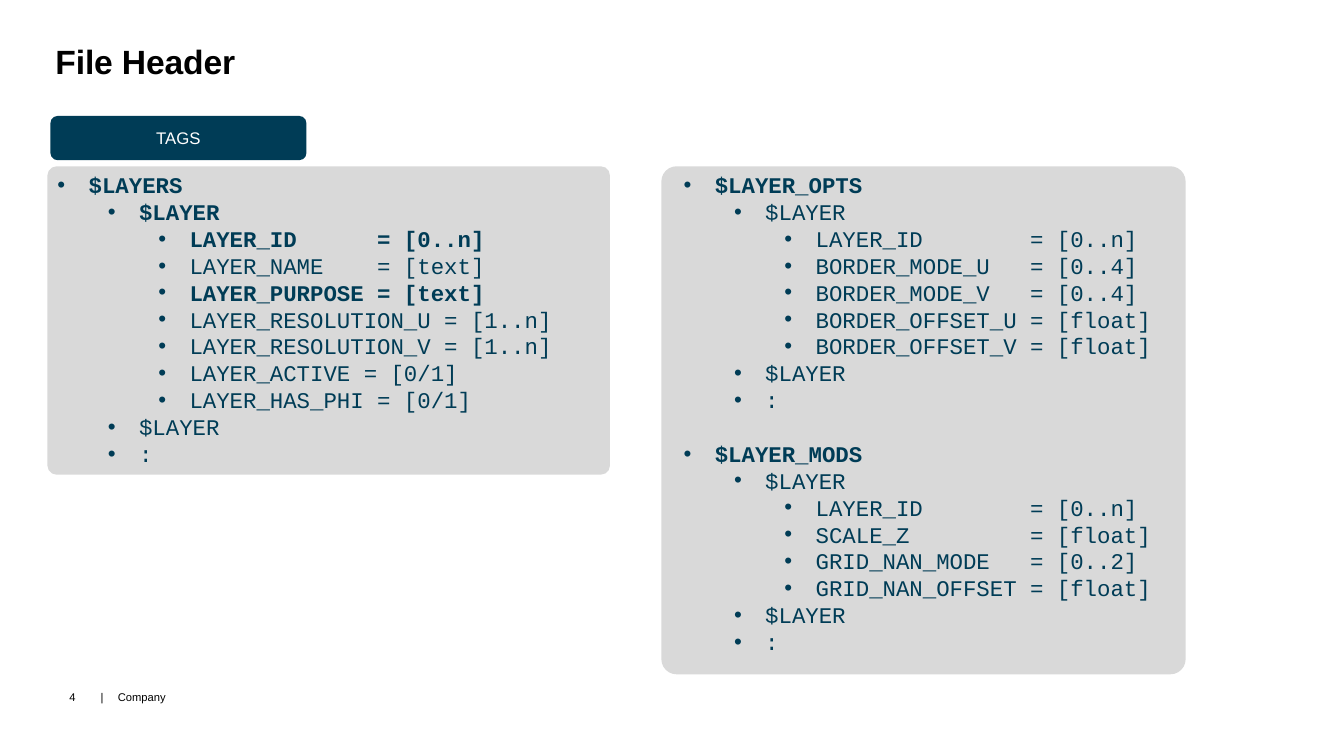
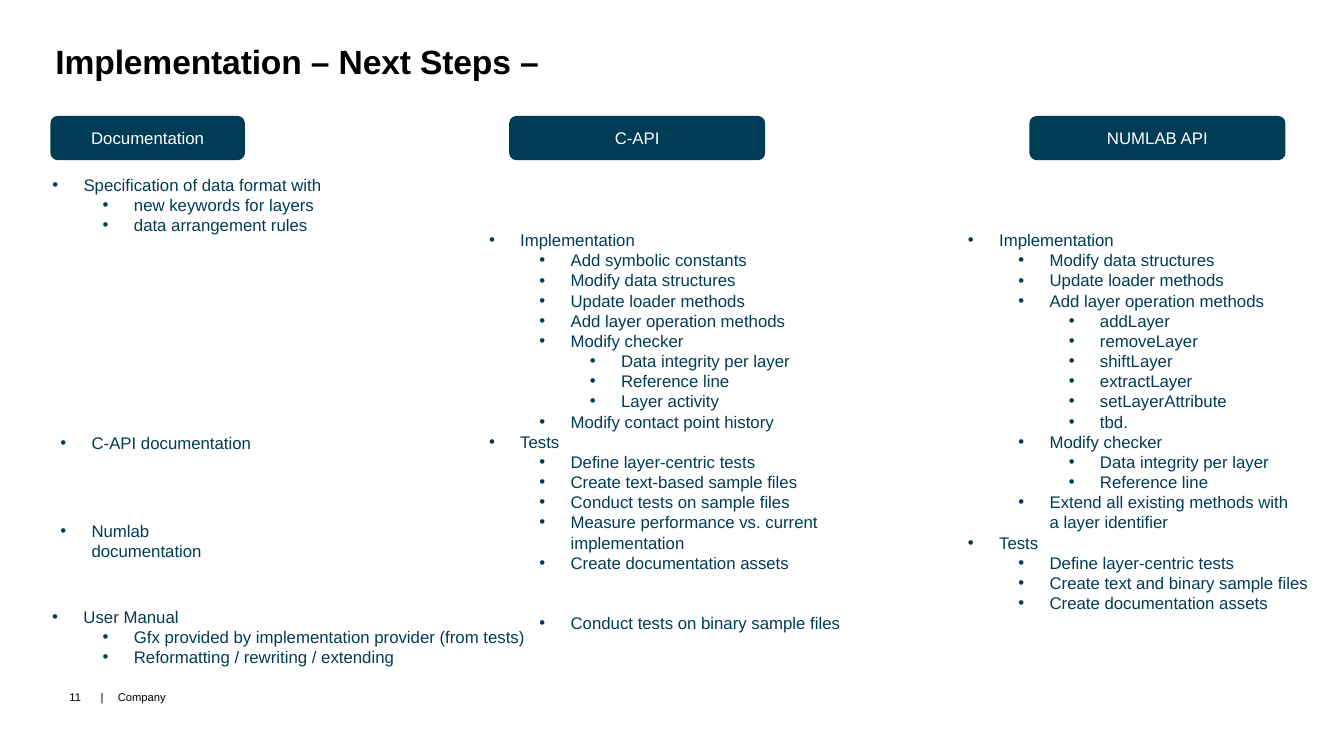
"""Build two slides about a layered file format: its header tags and the next steps."""
from typing import NamedTuple

from lxml import etree
from pptx import Presentation
from pptx.dml.color import RGBColor
from pptx.enum.shapes import MSO_SHAPE
from pptx.enum.text import MSO_ANCHOR, MSO_AUTO_SIZE, PP_ALIGN
from pptx.oxml.ns import qn
from pptx.util import Emu, Pt

EMU_PER_PX = 9144
TWO_CONTENT = 3
ROUNDED = MSO_SHAPE.ROUNDED_RECTANGLE
TOP, MIDDLE = MSO_ANCHOR.TOP, MSO_ANCHOR.MIDDLE
LEFT, CENTER = PP_ALIGN.LEFT, PP_ALIGN.CENTER
FIT_SHAPE, NO_FIT = MSO_AUTO_SIZE.SHAPE_TO_FIT_TEXT, MSO_AUTO_SIZE.NONE
NAVY, GREY, BLACK, WHITE = "003C56", "D9D9D9", "000000", "FFFFFF"
SANS, MONO = "Arial", "Courier New"
LINE_FACTOR = 1.2
HANG, LEVEL_STEP = 31, 50
TAG_TOP, TAG_HEIGHT = 115, 44
FOOTER_TOP, FOOTER_HEIGHT, FOOTER_TAB = 672, 40, 17


class Box(NamedTuple):
    """Left, top, width and height in px, 100 to the inch."""
    left: int
    top: int
    width: int
    height: int


class Item(NamedTuple):
    """One bullet; gap counts the free lines above it."""
    level: int
    text: str
    bold: bool = False
    gap: int = 0


class Outline(NamedTuple):
    """A bulleted list and where it stands."""
    box: Box
    items: list[Item]
    font: str = SANS
    size: int = 12


class Tag(NamedTuple):
    """A dark heading button above a column."""
    left: int
    width: int
    label: str


class Page(NamedTuple):
    """The content of one slide."""
    number: int
    title: str
    tags: list[Tag]
    outlines: list[Outline]
    panels: list[Box]


HEADER = Page(
    4, "File Header", [Tag(50, 254, "TAGS")],
    [
        Outline(Box(47, 165, 517, 306), [
            Item(0, "$LAYERS", True),
            Item(1, "$LAYER", True),
            Item(2, "LAYER_ID      = [0..n]", True),
            Item(2, "LAYER_NAME    = [text]"),
            Item(2, "LAYER_PURPOSE = [text]", True),
            Item(2, "LAYER_RESOLUTION_U = [1..n]"),
            Item(2, "LAYER_RESOLUTION_V = [1..n]"),
            Item(2, "LAYER_ACTIVE = [0/1]"),
            Item(2, "LAYER_HAS_PHI = [0/1]"),
            Item(1, "$LAYER"),
            Item(1, ":"),
        ], MONO, 16),
        Outline(Box(668, 165, 490, 495), [
            Item(0, "$LAYER_OPTS", True),
            Item(1, "$LAYER"),
            Item(2, "LAYER_ID        = [0..n]"),
            Item(2, "BORDER_MODE_U   = [0..4]"),
            Item(2, "BORDER_MODE_V   = [0..4]"),
            Item(2, "BORDER_OFFSET_U = [float]"),
            Item(2, "BORDER_OFFSET_V = [float]"),
            Item(1, "$LAYER"),
            Item(1, ":"),
            Item(0, "$LAYER_MODS", True, gap=1),
            Item(1, "$LAYER"),
            Item(2, "LAYER_ID        = [0..n]"),
            Item(2, "SCALE_Z         = [float]"),
            Item(2, "GRID_NAN_MODE   = [0..2]"),
            Item(2, "GRID_NAN_OFFSET = [float]"),
            Item(1, "$LAYER"),
            Item(1, ":"),
        ], MONO, 16),
    ],
    [Box(656, 165, 520, 504), Box(47, 165, 558, 306)],
)

NEXT_STEPS = Page(
    11, "Implementation – Next Steps –",
    [Tag(50, 193, "Documentation"), Tag(505, 254, "C-API"), Tag(1021, 254, "NUMLAB API")],
    [
        Outline(Box(475, 223, 372, 414), [
            Item(0, "Implementation"),
            Item(1, "Add symbolic constants"),
            Item(1, "Modify data structures"),
            Item(1, "Update loader methods"),
            Item(1, "Add layer operation methods"),
            Item(1, "Modify checker"),
            Item(2, "Data integrity per layer"),
            Item(2, "Reference line"),
            Item(2, "Layer activity"),
            Item(1, "Modify contact point history"),
            Item(0, "Tests"),
            Item(1, "Define layer-centric tests"),
            Item(1, "Create text-based sample files"),
            Item(1, "Conduct tests on sample files"),
            Item(1, "Measure performance vs. current\nimplementation"),
            Item(1, "Create documentation assets"),
            Item(1, "Conduct tests on binary sample files", gap=2),
        ]),
        Outline(Box(950, 223, 361, 394), [
            Item(0, "Implementation"),
            Item(1, "Modify data structures"),
            Item(1, "Update loader methods"),
            Item(1, "Add layer operation methods"),
            Item(2, "addLayer"),
            Item(2, "removeLayer"),
            Item(2, "shiftLayer"),
            Item(2, "extractLayer"),
            Item(2, "setLayerAttribute"),
            Item(2, "tbd."),
            Item(1, "Modify checker"),
            Item(2, "Data integrity per layer"),
            Item(2, "Reference line"),
            Item(1, "Extend all existing methods with\na layer identifier"),
            Item(0, "Tests"),
            Item(1, "Define layer-centric tests"),
            Item(1, "Create text and binary sample files"),
            Item(1, "Create documentation assets"),
        ]),
        Outline(Box(42, 168, 295, 71), [
            Item(0, "Specification of data format with"),
            Item(1, "new keywords for layers"),
            Item(1, "data arrangement rules"),
        ]),
        Outline(Box(50, 424, 211, 30), [Item(0, "C-API documentation")]),
        Outline(Box(50, 512, 217, 30), [Item(0, "Numlab documentation")]),
        Outline(Box(42, 597, 493, 71), [
            Item(0, "User Manual"),
            Item(1, "Gfx provided by implementation provider (from tests)"),
            Item(1, "Reformatting / rewriting / extending"),
        ]),
    ],
    [],
)


def px(length: int) -> Emu:
    """Turn px into EMU."""
    return Emu(length * EMU_PER_PX)


def color(value: str) -> RGBColor:
    """Turn a hex string into a colour."""
    return RGBColor.from_string(value)


def place(shape, box: Box) -> None:
    """Move and size a shape."""
    shape.left, shape.top, shape.width, shape.height = map(px, box)


def add_run(paragraph, text: str, size: int, ink: str, font: str = SANS, bold: bool = False):
    """Add one formatted run."""
    run = paragraph.add_run()
    run.text = text
    run.font.name, run.font.size, run.font.bold = font, Pt(size), bold
    run.font.color.rgb = color(ink)
    return run


def add_block(slide, box: Box, fill: str):
    """Add a flat rounded rectangle."""
    block = slide.shapes.add_shape(ROUNDED, *map(px, box))
    block.shadow.inherit = False
    block.fill.solid()
    block.fill.fore_color.rgb = color(fill)
    block.line.fill.background()
    return block


def add_panel(slide, box: Box) -> None:
    """Add a grey panel behind everything drawn so far."""
    panel = add_block(slide, box, GREY)
    panel.adjustments[0] = 0.03
    slide.shapes._spTree.insert(2, panel._element)


def add_tag(slide, tag: Tag) -> None:
    """Add a heading button."""
    button = add_block(slide, Box(tag.left, TAG_TOP, tag.width, TAG_HEIGHT), NAVY)
    frame = button.text_frame
    frame.vertical_anchor = MIDDLE
    heading = frame.paragraphs[0]
    heading.alignment = CENTER
    add_run(heading, tag.label, 12, WHITE)


def set_title(slide, text: str) -> None:
    """Fill and format the title placeholder."""
    title = slide.shapes.title
    place(title, Box(42, 46, 1252, 54))
    frame = title.text_frame
    frame.margin_left = frame.margin_right = px(13)
    frame.margin_top = frame.margin_bottom = px(7)
    frame.vertical_anchor, frame.auto_size, frame.word_wrap = TOP, NO_FIT, True
    line = frame.paragraphs[0]
    line.alignment, line.line_spacing = LEFT, Pt(19.5)
    run = add_run(line, text, 24, BLACK, bold=True)
    run._r.get_or_add_rPr().set("spc", "-10")


def add_item(paragraph, item: Item, outline: Outline, first: bool) -> None:
    """Write one bullet of an outline."""
    properties = paragraph._p.get_or_add_pPr()
    properties.set("marL", str(px(HANG + LEVEL_STEP * item.level)))
    properties.set("indent", str(px(-HANG)))
    etree.SubElement(properties, qn("a:buFont"), typeface=SANS)
    etree.SubElement(properties, qn("a:buChar"), char="•")
    pitch = outline.size * LINE_FACTOR
    paragraph.level, paragraph.alignment = item.level, LEFT
    paragraph.line_spacing = Pt(pitch)
    paragraph.space_before = Pt(0 if first else pitch * item.gap)
    paragraph.space_after = Pt(0)
    for index, text in enumerate(item.text.split("\n")):
        if index:
            paragraph.add_line_break()
        add_run(paragraph, text, outline.size, NAVY, outline.font, item.bold)


def fill_outline(holder, outline: Outline) -> None:
    """Place a text holder and write the outline into it."""
    place(holder, outline.box)
    frame = holder.text_frame
    frame.vertical_anchor, frame.auto_size, frame.word_wrap = TOP, FIT_SHAPE, False
    for index, item in enumerate(outline.items):
        paragraph = frame.add_paragraph() if index else frame.paragraphs[0]
        add_item(paragraph, item, outline, index == 0)


def add_footer(slide, number: int) -> None:
    """Add the page number and the company line."""
    for left, width, text in ((59, 42, str(number)), (90, 450, "|\tCompany")):
        footer = slide.shapes.add_textbox(*map(px, Box(left, FOOTER_TOP, width, FOOTER_HEIGHT)))
        frame = footer.text_frame
        frame.vertical_anchor, frame.word_wrap = MIDDLE, True
        line = frame.paragraphs[0]
        tabs = etree.SubElement(line._p.get_or_add_pPr(), qn("a:tabLst"))
        etree.SubElement(tabs, qn("a:tab"), pos=str(px(FOOTER_TAB)), algn="l")
        add_run(line, text, 8, BLACK)


def add_page(deck, page: Page) -> None:
    """Build one slide."""
    slide = deck.slides.add_slide(deck.slide_layouts[TWO_CONTENT])
    set_title(slide, page.title)
    bodies = [holder for holder in slide.placeholders if holder.placeholder_format.idx]
    for index, outline in enumerate(page.outlines):
        if index < len(bodies):
            holder = bodies[index]
        else:
            holder = slide.shapes.add_textbox(*map(px, outline.box))
        fill_outline(holder, outline)
    for panel in page.panels:
        add_panel(slide, panel)
    for tag in page.tags:
        add_tag(slide, tag)
    add_footer(slide, page.number)


def main() -> None:
    """Build and save the deck."""
    deck = Presentation()
    deck.slide_width, deck.slide_height = px(1333), px(750)
    for page in (HEADER, NEXT_STEPS):
        add_page(deck, page)
    deck.save("out.pptx")


if __name__ == "__main__":
    main()
